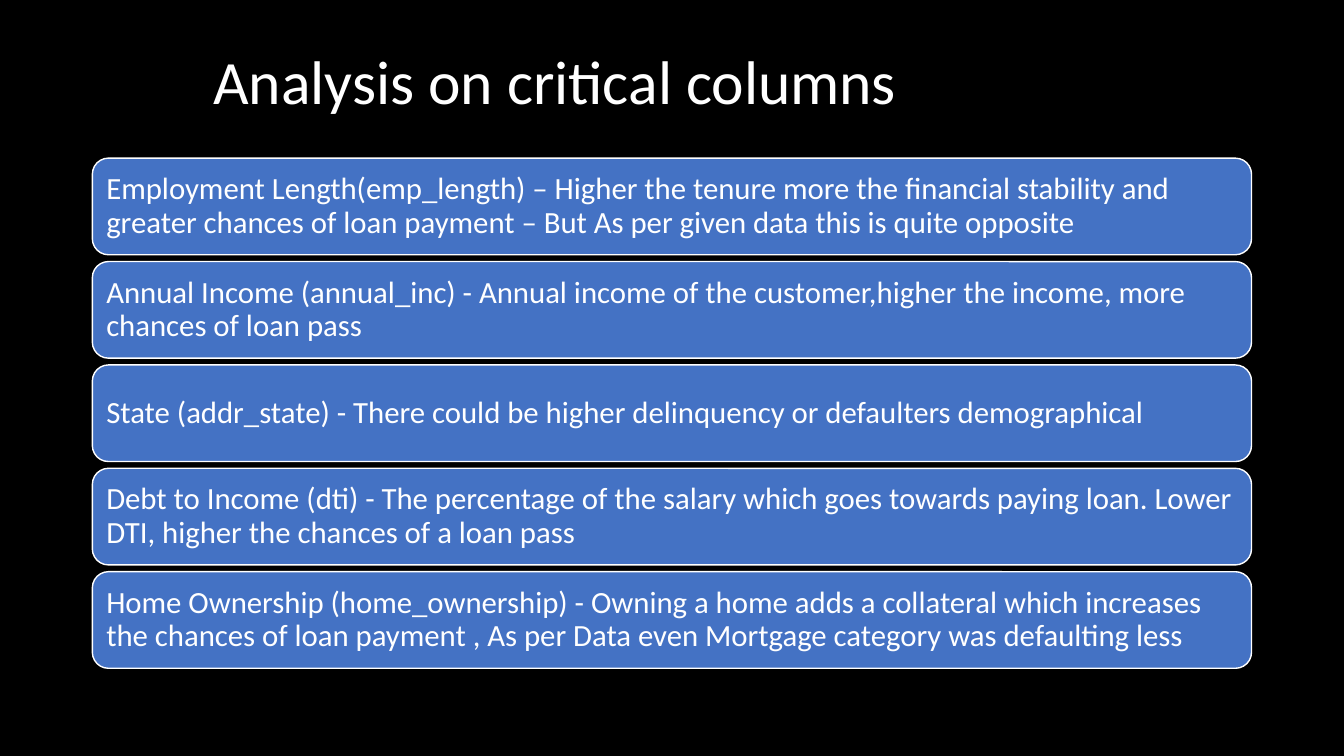
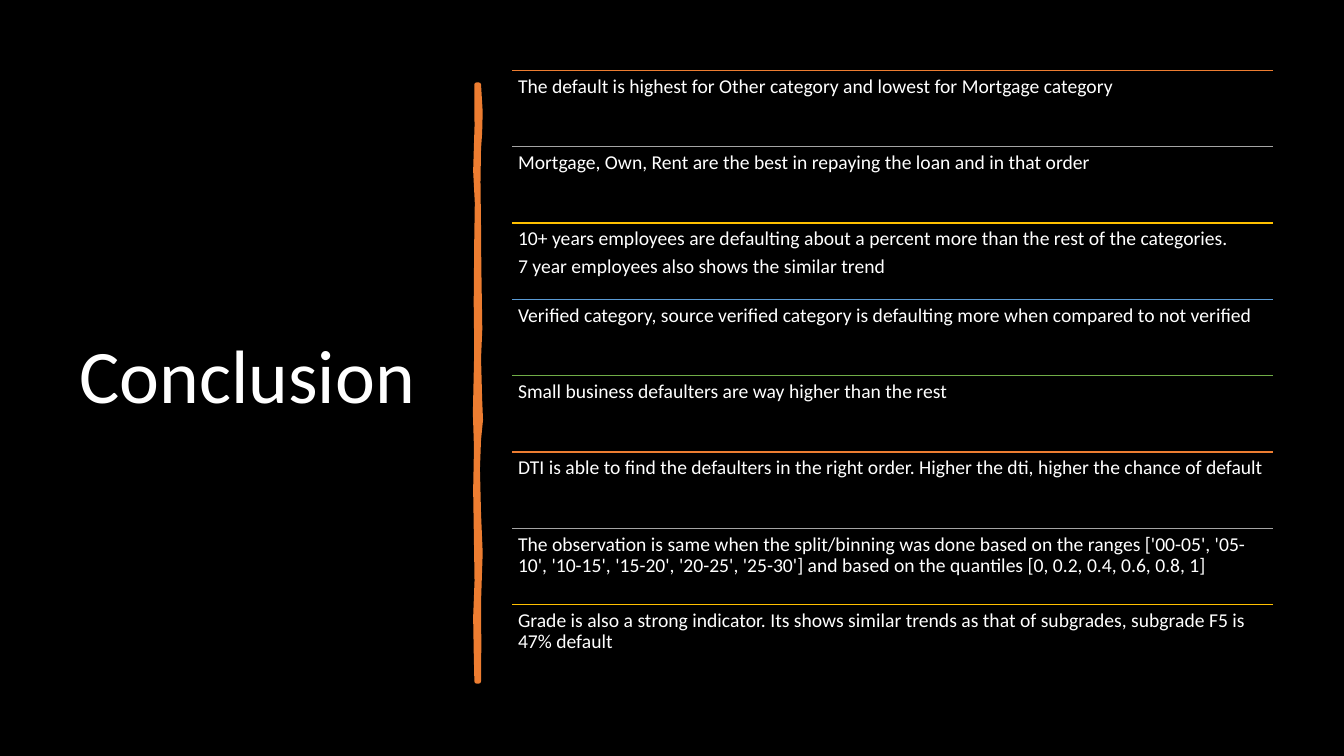
from lxml import etree
from pptx import Presentation
from pptx.dml.color import RGBColor
from pptx.enum.shapes import MSO_CONNECTOR, MSO_SHAPE
from pptx.enum.text import MSO_ANCHOR, MSO_AUTO_SIZE, PP_ALIGN
from pptx.oxml.ns import qn
from pptx.util import Pt

COLORS = {
    "background": "000000",
    "text": "FFFFFF",
    "card": "4472C4",
    "orange": "ED7D31",
    "gray": "A5A5A5",
    "gold": "FFC000",
    "blue": "5B9BD5",
    "green": "70AD47",
}
FONT = "Calibri"
RULE_CYCLE = ("orange", "gray", "gold", "blue", "green")

CRITICAL_COLUMNS = [
    "Employment Length(emp_length) – Higher the tenure more the financial stability and "
    "greater chances of loan payment – But As per given data this is quite opposite",
    "Annual Income (annual_inc) - Annual income of the customer,higher the income, more "
    "chances of loan pass",
    "State (addr_state) - There could be higher delinquency or defaulters demographical",
    "Debt to Income (dti) - The percentage of the salary which goes towards paying loan. "
    "Lower DTI, higher the chances of a loan pass",
    "Home Ownership (home_ownership) - Owning a home adds a collateral which increases the "
    "chances of loan payment , As per Data even Mortgage category was defaulting less",
]

FINDINGS = [
    ["The default is highest for Other category and lowest for Mortgage category"],
    ["Mortgage, Own, Rent are the best in repaying the loan and in that order"],
    ["10+ years employees are defaulting about a percent more than the rest of the categories.",
     "7 year employees also shows the similar trend"],
    ["Verified category, source verified category is defaulting more when compared to not verified"],
    ["Small business defaulters are way higher than the rest"],
    ["DTI is able to find the defaulters in the right order. Higher the dti, higher the chance "
     "of default"],
    ["The observation is same when the split/binning was done based on the ranges ['00-05', "
     "'05-10', '10-15', '15-20', '20-25', '25-30'] and based on the quantiles "
     "[0, 0.2, 0.4, 0.6, 0.8, 1]"],
    ["Grade is also a strong indicator. Its shows similar trends as that of subgrades, "
     "subgrade F5 is 47% default"],
]

BRUSH_OUTLINE = [
    (342, 60.5), (343.2, 80), (342.8, 95), (342, 106), (341.6, 130), (342, 163),
    (342.2, 190), (342.9, 235), (342, 256), (342.8, 285), (343.4, 300), (342, 314),
    (341.2, 335), (342, 367), (343.2, 395), (342.6, 412), (342, 430), (342.2, 460),
    (342, 486.7), (340.5, 486.7), (340, 465), (339.6, 441), (340.6, 415), (340.2, 388),
    (339.6, 350), (340.2, 320), (339.4, 295), (340.4, 250), (340, 216), (340.4, 171),
    (340.8, 145), (339.6, 122), (340.6, 90), (340.4, 60.5),
]


def color(name):
    """Return the named palette colour."""
    return RGBColor.from_string(COLORS[name])


def write_paragraphs(frame, paragraphs, size, anchor, space_after=0):
    """Fill a text frame with left-aligned paragraphs in the deck's style."""
    frame.word_wrap = True
    frame.auto_size = MSO_AUTO_SIZE.NONE
    frame.vertical_anchor = anchor
    for index, wording in enumerate(paragraphs):
        paragraph = frame.add_paragraph() if index else frame.paragraphs[0]
        paragraph.alignment = PP_ALIGN.LEFT
        paragraph.line_spacing = 0.9
        paragraph.space_after = Pt(space_after)
        run = paragraph.add_run()
        run.text = wording
        run.font.name = FONT
        run.font.size = Pt(size)
        run.font.color.rgb = color("text")


def set_margins(frame, margin):
    """Give a text frame the same inset on all sides."""
    frame.margin_left = frame.margin_right = Pt(margin)
    frame.margin_top = frame.margin_bottom = Pt(margin)


def add_titled_slide(deck, wording, box, size, inset=7.2):
    """Add a slide whose title placeholder fills the given box."""
    slide = deck.slides.add_slide(deck.slide_layouts.get_by_name("Title Only"))
    title = slide.shapes.title
    title.left, title.top, title.width, title.height = (Pt(length) for length in box)
    title.text_frame.margin_left = Pt(inset)
    write_paragraphs(title.text_frame, [wording], size, MSO_ANCHOR.MIDDLE)
    return slide


def add_card(slide, wording, top):
    """Add a rounded card describing one critical column."""
    card = slide.shapes.add_shape(
        MSO_SHAPE.ROUNDED_RECTANGLE, Pt(66), Pt(top), Pt(828), Pt(69))
    card.shadow.inherit = False
    card.fill.solid()
    card.fill.fore_color.rgb = color("card")
    card.line.color.rgb = color("text")
    card.line.width = Pt(1)
    set_margins(card.text_frame, 6.6)
    write_paragraphs(card.text_frame, [wording], 22, MSO_ANCHOR.MIDDLE)


def add_finding(slide, paragraphs, top, height, rule_color):
    """Add a coloured rule with a finding below it."""
    left, width = 365.8, 543.6
    rule = slide.shapes.add_connector(
        MSO_CONNECTOR.STRAIGHT, Pt(left), Pt(top), Pt(left + width), Pt(top))
    rule.line.color.rgb = color(rule_color)
    rule.line.width = Pt(1)
    etree.SubElement(rule.element.spPr, qn("a:effectLst"))
    finding = slide.shapes.add_textbox(Pt(left), Pt(top), Pt(width), Pt(height))
    set_margins(finding.text_frame, 4.2)
    write_paragraphs(finding.text_frame, paragraphs, 14, MSO_ANCHOR.TOP, 4.9)


def add_brush_stroke(slide):
    """Add the wavy vertical divider."""
    start, *rest = [(Pt(x), Pt(y)) for x, y in BRUSH_OUTLINE]
    builder = slide.shapes.build_freeform(*start)
    builder.add_line_segments(rest, close=True)
    stroke = builder.convert_to_shape()
    stroke.shadow.inherit = False
    stroke.fill.solid()
    stroke.fill.fore_color.rgb = color("orange")
    stroke.line.color.rgb = color("orange")
    stroke.line.width = Pt(3.25)
    etree.SubElement(stroke.line._get_or_add_ln(), qn("a:round"))


def build_columns_slide(deck):
    """Build the slide of critical columns."""
    slide = add_titled_slide(
        deck, "Analysis on critical columns", (66, 16, 828, 88.5), 44, inset=86.4)
    for index, wording in enumerate(CRITICAL_COLUMNS):
        add_card(slide, wording, 113 + index * 73.85)


def build_conclusion_slide(deck):
    """Build the slide of findings."""
    slide = add_titled_slide(deck, "Conclusion", (49.7, 50.4, 269.3, 440), 54)
    add_brush_stroke(slide)
    pitch = 54.5
    for index, paragraphs in enumerate(FINDINGS):
        rule_color = RULE_CYCLE[index % len(RULE_CYCLE)]
        add_finding(slide, paragraphs, 50.3 + index * pitch, pitch, rule_color)


def main():
    """Build and save the deck."""
    deck = Presentation()
    deck.slide_width, deck.slide_height = Pt(960), Pt(540)
    backdrop = deck.slide_master.background.fill
    backdrop.solid()
    backdrop.fore_color.rgb = color("background")
    build_columns_slide(deck)
    build_conclusion_slide(deck)
    deck.save("out.pptx")


if __name__ == "__main__":
    main()
